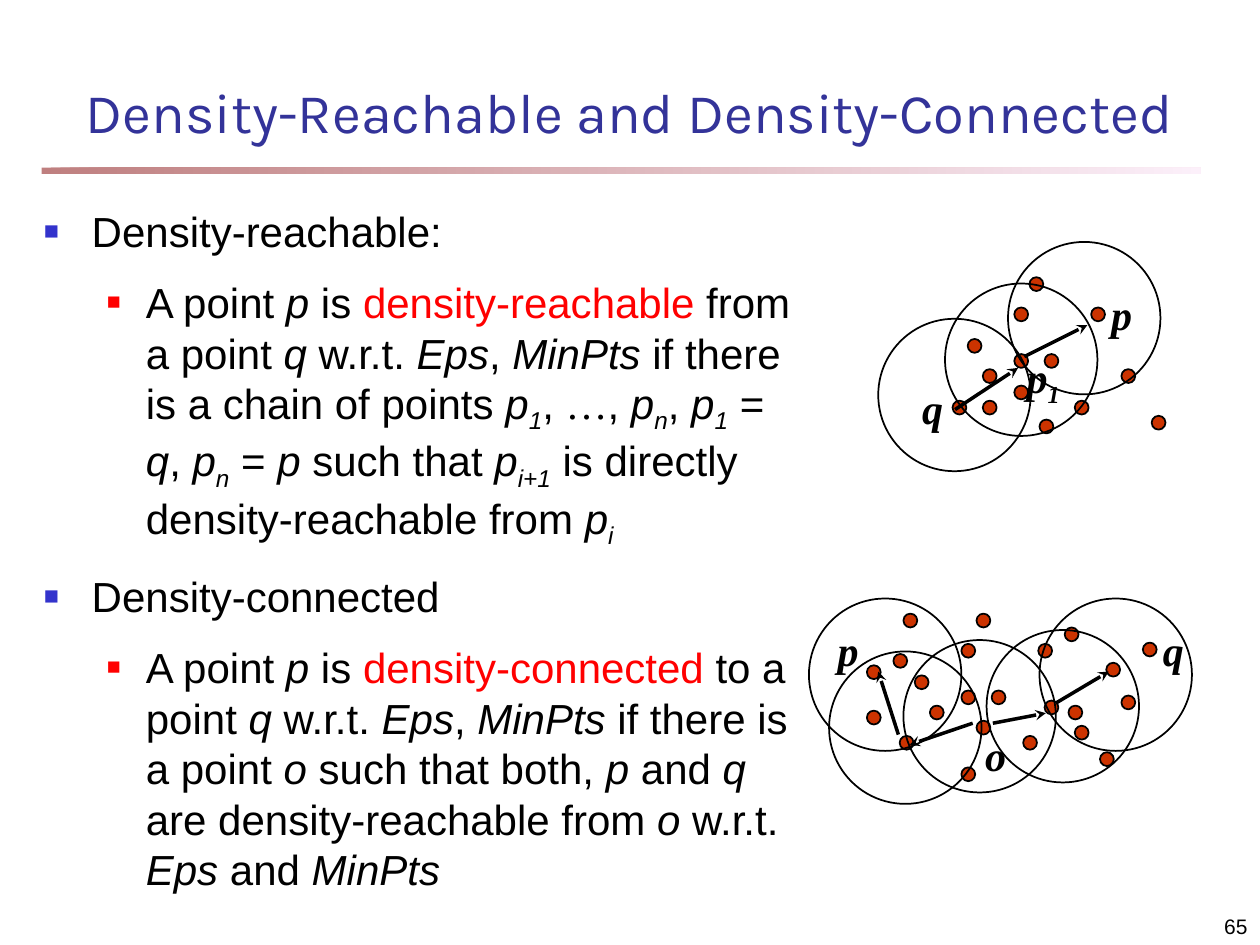
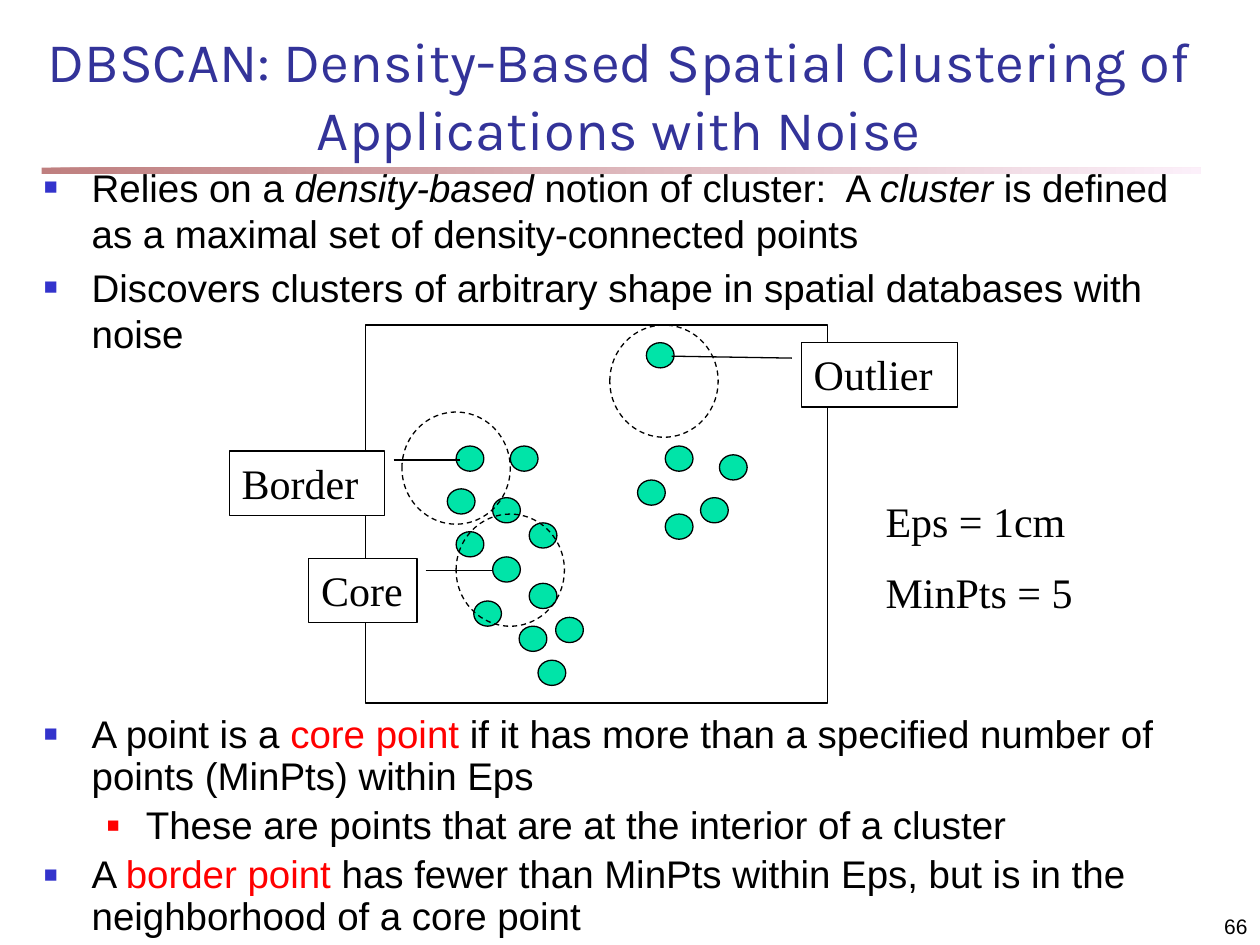
from typing import NamedTuple, Optional

from lxml.etree import SubElement
from pptx import Presentation
from pptx.dml.color import RGBColor
from pptx.enum.dml import MSO_LINE_DASH_STYLE as Dash
from pptx.enum.shapes import MSO_CONNECTOR as Connector, MSO_SHAPE as Preset
from pptx.enum.text import MSO_ANCHOR as Anchor, MSO_AUTO_SIZE as AutoSize, PP_ALIGN as Align
from pptx.oxml.ns import qn
from pptx.util import Emu, Inches, Pt

COLORS = {
    "title": "333399", "text": "000000", "accent": "FF0000", "bullet": "3333CC",
    "band_start": "800000", "band_end": "FAE2F6", "red_dot": "CC3300",
    "green_dot": "00E4A8", "paper": "FFFFFF",
}
SANS, SERIF, DISPLAY = "Arial", "Times New Roman", "Karla"
WIDTH, HEIGHT = Inches(10), Inches(7.5)
COLUMNS, ROWS = 100, 75
RED_DOT = 1.1
EPS_CIRCLE = 12.1
GREEN_DOT = (2.2, 2.0)
DASHED_CIRCLE = (8.6, 8.9)


class Area(NamedTuple):
    """A rectangle in grid columns and rows."""
    col: float
    row: float
    cols: float
    rows: float

    def emu(self) -> list[Emu]:
        return [across(self.col), down(self.row), across(self.cols), down(self.rows)]


class Bullet(NamedTuple):
    """A list item; its text uses the marks explained in add_spans."""
    text: str
    level: int = 0


class Level(NamedTuple):
    margin: float
    indent: float
    color: str
    percent: int


class Arrow(NamedTuple):
    start: tuple[float, float]
    tip: tuple[float, float]


class Label(NamedTuple):
    text: str
    col: float
    row: float
    cols: float = 4.2


class Callout(NamedTuple):
    """A boxed word with a leader given as y1, x1, y2, x2 shares of the box."""
    text: str
    area: Area
    leader: tuple[float, float, float, float]


LEVELS = [Level(0.38, -0.38, "bullet", 60), Level(0.81, -0.31, "accent", 55)]
BAND = Area(3.3, 13.3, 92, 0.5)
PAGE_NUMBER = Area(79.2, 70.8, 20.8, 4.2)

REACHABLE_DOTS = [
    (76.8, 26.9), (80.5, 28.1), (80.5, 24.4), (75.6, 31.8), (78, 29.3), (78, 31.8),
    (82.5, 33.3), (81.7, 22), (89, 29.3), (86.6, 24.4), (80.5, 30.6), (82.9, 28.1),
    (85.3, 31.8), (91.4, 33),
]
REACHABLE_CIRCLES = [(75, 22.5), (69.7, 25.3), (80, 19.2)]
CONNECTED_DOTS = [
    (72.6, 53.6), (76.3, 54.8), (76.3, 51.1), (71.4, 58.4), (73.8, 56), (76.3, 60.9),
    (77.5, 57.2), (77.5, 48.7), (84.8, 56), (82.4, 51.1), (68.8, 56.4), (78.7, 54.8),
    (81.2, 58.4), (87.3, 59.7), (89, 55.2), (82.9, 55.6), (85.3, 57.6), (90.7, 51),
    (84.5, 49.8), (87.8, 52.6), (70.9, 51.9), (68.8, 52.8), (71.7, 48.7),
]
CONNECTED_CIRCLES = [(65.8, 51.7), (71.7, 50.8), (78.3, 50), (82.5, 47.5), (64.2, 47.5)]
ARROWS = [
    Arrow((81.3, 28.3), (86.3, 25.8)), Arrow((75.8, 32.5), (80.8, 29.2)),
    Arrow((77.2, 57.4), (72.2, 59.1)), Arrow((78.8, 57.4), (83, 56.6)),
    Arrow((71.3, 58.3), (69.7, 53.3)), Arrow((83.8, 55.8), (88, 53.3)),
]
POINT_LABELS = [
    Label("p", 87.2, 22.4), Label("q", 72.2, 29.9), Label("p~1~", 80.5, 27.4, 6.7),
    Label("p", 65.5, 49.1), Label("q", 91.3, 49.1), Label("o", 77.2, 57.4),
]
CLUSTER_DOTS = [
    (36.2, 35.4), (35.5, 38.8), (39.1, 39.5), (40.5, 35.4), (42, 41.5), (36.2, 42.2),
    (39.1, 44.2), (37.6, 47.7), (41.2, 49.7), (42.7, 52.4), (42, 46.3), (51.3, 27.2),
    (52.8, 35.4), (50.6, 38.1), (55.6, 39.5), (57.1, 36.1), (52.8, 40.8), (44.1, 49),
]
NEIGHBORHOODS = [(31.9, 32.7), (36.2, 40.8), (48.4, 25.8)]
CALLOUTS = [
    Callout("Core", Area(24.5, 44.3, 8.6, 5.1), (0.19, 1.08, 0.19, 1.69)),
    Callout("Border", Area(18.2, 35.8, 12.3, 5.1), (0.14, 1.06, 0.14, 1.49)),
    Callout("Outlier", Area(63.6, 27.2, 12.4, 5.1), (0.24, -0.06, 0.21, -0.83)),
]

REACHABILITY_TEXT = [
    Bullet("Density-reachable:"),
    Bullet("A point *p* is ^density-reachable^ from a point *q* w.r.t. *Eps*, *MinPts* "
           "if there is a chain of points *p~1~*, |…|, *p~n~*, *p~1~* = *q*, *p~n~* = *p* "
           "such that *p~i+1~* is directly density-reachable from *p~i~*", 1),
    Bullet("Density-connected"),
    Bullet("A point *p* is ^density-connected^ to a point *q* w.r.t. *Eps*, *MinPts* "
           "if there is a point *o* such that both, *p* and *q* are density-reachable "
           "from *o* w.r.t. *Eps* and *MinPts*", 1),
]
NOTION_TEXT = [
    Bullet("Relies on a *density-based* notion of cluster:  A *cluster* is defined "
           "as a maximal set of density-connected points"),
    Bullet("Discovers clusters of arbitrary shape in spatial databases with noise"),
]
POINT_KINDS_TEXT = [
    Bullet("A point is a ^core point^ if it has more than a specified number of "
           "points (MinPts) within Eps"),
    Bullet("These are points that are at the interior of a cluster", 1),
    Bullet("A ^border point^ has fewer than MinPts within Eps, but is in the "
           "neighborhood of a core point"),
]


def across(cols: float) -> Emu:
    return Emu(round(WIDTH * cols / COLUMNS))


def down(rows: float) -> Emu:
    return Emu(round(HEIGHT * rows / ROWS))


def rgb(name: str) -> RGBColor:
    return RGBColor.from_string(COLORS[name])


def add_spans(para, text: str, *, size: float, font: str, color: str,
              bold: bool, italic: bool) -> None:
    """Turn marks into runs: *italic*, ~subscript~, ^accent^, |serif|."""
    active: set[str] = set()
    pending = ""

    def flush() -> None:
        if not pending:
            return
        span = para.add_run()
        span.text = pending
        span.font.size = Pt(size)
        span.font.name = SERIF if "|" in active else font
        span.font.bold = bold
        span.font.italic = italic or "*" in active
        span.font.color.rgb = rgb("accent" if "^" in active else color)
        if "~" in active:
            span.font._element.set("baseline", "-25000")

    for letter in text:
        if letter in "*~^|":
            flush()
            pending = ""
            active ^= {letter}
        else:
            pending += letter
    flush()


def add_bullet(para, level: int) -> None:
    style = LEVELS[level]
    para.level = level
    props = para._p.get_or_add_pPr()
    props.set("marL", str(Inches(style.margin)))
    props.set("indent", str(Inches(style.indent)))
    color = SubElement(props, qn("a:buClr"))
    SubElement(color, qn("a:srgbClr"), val=COLORS[style.color])
    SubElement(props, qn("a:buSzPct"), val=str(style.percent * 1000))
    SubElement(props, qn("a:buFont"), typeface=SANS)
    SubElement(props, qn("a:buChar"), char="■")


def write(shape, items: list, *, size: float = 24, font: str = SANS, color: str = "text",
          bold: bool = False, italic: bool = False, align: Align = Align.LEFT,
          anchor: Anchor = Anchor.TOP, before: float = 0, line: Optional[float] = None) -> None:
    """Fill a shape with paragraphs; items are strings or Bullets."""
    frame = shape.text_frame
    frame.word_wrap = True
    frame.auto_size = AutoSize.NONE
    frame.vertical_anchor = anchor
    for index, item in enumerate(items):
        para = frame.add_paragraph() if index else frame.paragraphs[0]
        para.alignment = align
        para.space_before = Pt(before)
        para.line_spacing = line
        text = item
        if isinstance(item, Bullet):
            add_bullet(para, item.level)
            text = item.text
        add_spans(para, text, size=size, font=font, color=color, bold=bold, italic=italic)


def add_text(page, area: Area, items: list, **style) -> None:
    write(page.shapes.add_textbox(*area.emu()), items, **style)


def add_outline(page, preset: Preset, area: Area, *, fill: Optional[str] = None,
                weight: float = 1, dashed: bool = False):
    shape = page.shapes.add_shape(preset, *area.emu())
    shape.shadow.inherit = False
    if fill:
        shape.fill.solid()
        shape.fill.fore_color.rgb = rgb(fill)
    else:
        shape.fill.background()
    shape.line.color.rgb = rgb("text")
    shape.line.width = Pt(weight)
    if dashed:
        shape.line.dash_style = Dash.DASH
    return shape


def add_ovals(page, corners: list, cols: float, rows: float, **style) -> None:
    for col, row in corners:
        add_outline(page, Preset.OVAL, Area(col, row, cols, rows), **style)


def add_arrow(page, arrow: Arrow) -> None:
    (col, row), (tip_col, tip_row) = arrow
    link = page.shapes.add_connector(Connector.STRAIGHT, across(col), down(row),
                                     across(tip_col), down(tip_row))
    link.line.color.rgb = rgb("text")
    link.line.width = Pt(2)
    SubElement(link.line._get_or_add_ln(), qn("a:tailEnd"), type="stealth")
    SubElement(link._element.spPr, qn("a:effectLst"))


def add_band(page) -> None:
    band = page.shapes.add_shape(Preset.RECTANGLE, *BAND.emu())
    band.shadow.inherit = False
    band.line.fill.background()
    band.fill.gradient()
    band.fill.gradient_angle = 0
    for stop, name in zip(band.fill.gradient_stops, ("band_start", "band_end")):
        stop.color.rgb = rgb(name)
    for color in band._element.spPr.iter(qn("a:srgbClr")):
        SubElement(color, qn("a:alpha"), val="50000")


def add_page(deck, title: str, area: Area, anchor: Anchor, number: int):
    """Add a slide with the shared title style, band and page number."""
    page = deck.slides.add_slide(deck.slide_layouts[5])
    heading = page.shapes.title
    heading.left, heading.top, heading.width, heading.height = area.emu()
    write(heading, [title], size=32, font=DISPLAY, color="title",
          align=Align.CENTER, anchor=anchor)
    add_band(page)
    add_text(page, PAGE_NUMBER, [str(number)], size=12, align=Align.RIGHT,
             anchor=Anchor.BOTTOM)
    return page


def build_reachability(deck) -> None:
    page = add_page(deck, "Density-Reachable and Density-Connected",
                    Area(0, 4.2, 100, 9.2), Anchor.MIDDLE, 65)
    add_text(page, Area(2.5, 15.8, 61.7, 55), REACHABILITY_TEXT, before=12)
    add_ovals(page, REACHABLE_DOTS + CONNECTED_DOTS, RED_DOT, RED_DOT, fill="red_dot")
    add_ovals(page, REACHABLE_CIRCLES + CONNECTED_CIRCLES, EPS_CIRCLE, EPS_CIRCLE)
    for arrow in ARROWS:
        add_arrow(page, arrow)
    for label in POINT_LABELS:
        add_text(page, Area(label.col, label.row, label.cols, 5), [label.text],
                 font=SERIF, bold=True, italic=True)


def build_dbscan(deck) -> None:
    page = add_page(deck, "DBSCAN: Density-Based Spatial Clustering of Applications with Noise",
                    Area(2.5, 2.5, 93.3, 10.8), Anchor.BOTTOM, 66)
    add_text(page, Area(2.5, 12.5, 93.3, 16), NOTION_TEXT, size=22, before=4.4)
    add_text(page, Area(2.5, 56.3, 93.3, 18.7), POINT_KINDS_TEXT, size=22, before=4.4, line=0.9)
    add_ovals(page, CLUSTER_DOTS, *GREEN_DOT, fill="green_dot", weight=0.75)
    add_outline(page, Preset.RECTANGLE, Area(29, 25.8, 36.7, 30), weight=0.75)
    add_ovals(page, NEIGHBORHOODS, *DASHED_CIRCLE, weight=0.75, dashed=True)
    for callout in CALLOUTS:
        box = add_outline(page, Preset.LINE_CALLOUT_1, callout.area, fill="paper", weight=0.75)
        for index, share in enumerate(callout.leader):
            box.adjustments[index] = share
        write(box, [callout.text], font=SERIF)
    add_text(page, Area(69.3, 38.8, 18, 11), ["Eps = 1cm", "MinPts = 5"], font=SERIF, before=12)


def main() -> None:
    deck = Presentation()
    deck.slide_width, deck.slide_height = WIDTH, HEIGHT
    build_reachability(deck)
    build_dbscan(deck)
    deck.save("out.pptx")


if __name__ == "__main__":
    main()
